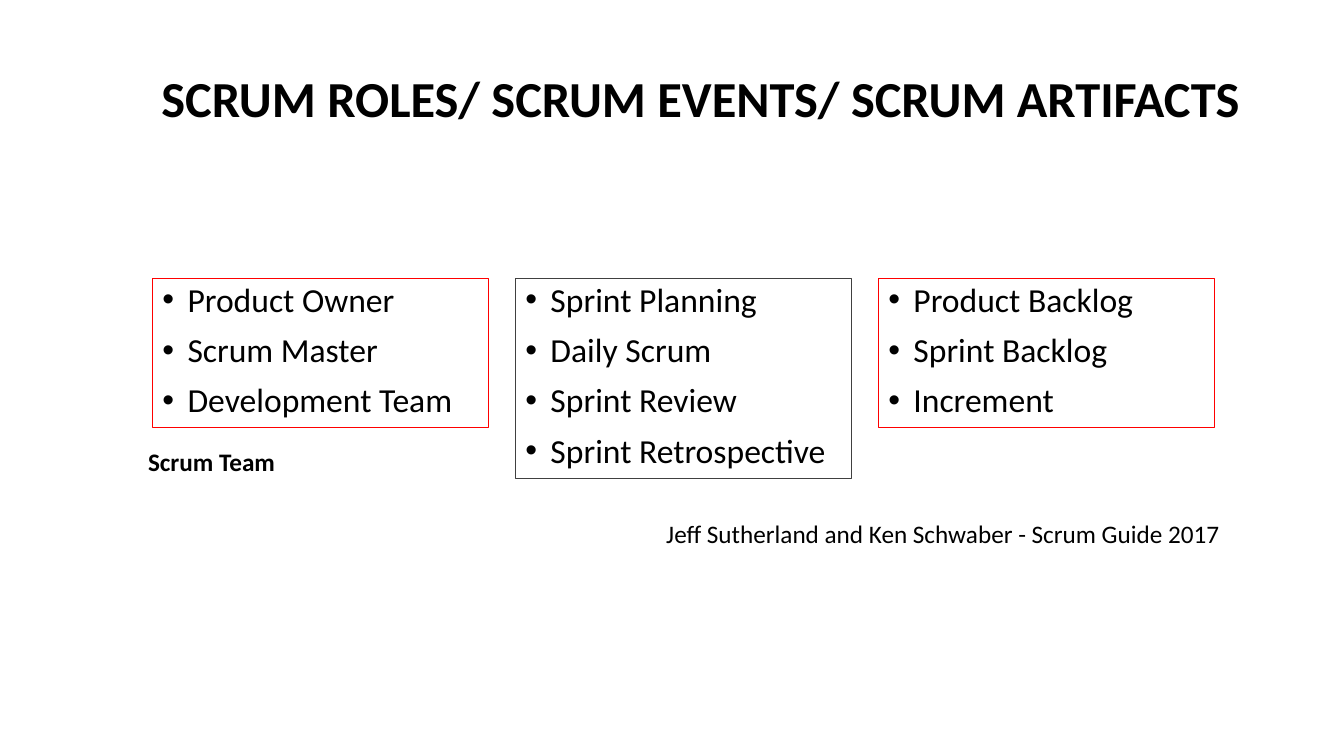
from dataclasses import dataclass

from lxml.etree import SubElement
from pptx import Presentation
from pptx.dml.color import RGBColor
from pptx.enum.text import MSO_ANCHOR as Anchor
from pptx.enum.text import MSO_AUTO_SIZE as AutoSize
from pptx.enum.text import PP_ALIGN as Align
from pptx.oxml.ns import qn
from pptx.shapes.base import BaseShape
from pptx.slide import Slide
from pptx.util import Inches, Pt

BLACK = RGBColor(0x00, 0x00, 0x00)
RED = RGBColor(0xFF, 0x00, 0x00)
GRAY = RGBColor(0x40, 0x40, 0x40)
FONT = "Calibri"

LIST_LEFT, LIST_TOP, LIST_WIDTH, LIST_STEP = 1.51, 2.76, 3.34, 3.6
FIRST_HEIGHT, ITEM_STEP = 0.46, 0.51
INDENT = Inches(0.25)


@dataclass(frozen=True)
class ScrumList:
    items: tuple[str, ...]
    outline: RGBColor


@dataclass(frozen=True)
class Label:
    text: str
    left: float
    top: float
    width: float
    bold: bool


LISTS = (
    ScrumList(("Product Owner", "Scrum Master", "Development Team"), RED),
    ScrumList(("Sprint Planning", "Daily Scrum", "Sprint Review", "Sprint Retrospective"), GRAY),
    ScrumList(("Product Backlog", "Sprint Backlog", "Increment"), RED),
)
LABELS = (
    Label("Scrum Team", 1.37, 4.38, 1.7, True),
    Label("Jeff Sutherland and Ken Schwaber - Scrum Guide 2017", 6.51, 5.09, 5.76, False),
)


def place(box: BaseShape, left: float, top: float, width: float, height: float) -> None:
    box.left, box.top = Inches(left), Inches(top)
    box.width, box.height = Inches(width), Inches(height)


def write(
    box: BaseShape, text: str, size: int, bold: bool, spacing: float, fit: AutoSize
) -> None:
    frame = box.text_frame
    frame.text = text
    frame.word_wrap = True
    frame.auto_size = fit
    frame.vertical_anchor = Anchor.TOP
    for para in frame.paragraphs:
        para.alignment = Align.LEFT
        para.line_spacing = spacing
        for span in para.runs:
            span.font.name = FONT
            span.font.size = Pt(size)
            span.font.bold = bold
            span.font.color.rgb = BLACK


def add_bullets(box: BaseShape) -> None:
    for para in box.text_frame.paragraphs:
        para.space_before = Pt(10)
        properties = para._p.get_or_add_pPr()
        properties.set("marL", str(INDENT))
        properties.set("indent", str(-INDENT))
        SubElement(properties, qn("a:buFont")).set("typeface", "Arial")
        SubElement(properties, qn("a:buChar")).set("char", "•")


def fill_list(box: BaseShape, column: int, scrum_list: ScrumList) -> None:
    height = FIRST_HEIGHT + ITEM_STEP * (len(scrum_list.items) - 1)
    place(box, LIST_LEFT + column * LIST_STEP, LIST_TOP, LIST_WIDTH, height)
    write(box, "\n".join(scrum_list.items), 24, False, 0.9, AutoSize.NONE)
    add_bullets(box)
    box.line.color.rgb = scrum_list.outline
    box.line.width = Pt(0.75)


def add_label(page: Slide, label: Label) -> None:
    box = page.shapes.add_textbox(
        Inches(label.left), Inches(label.top), Inches(label.width), Inches(0.4)
    )
    write(box, label.text, 18, label.bold, 1.0, AutoSize.SHAPE_TO_FIT_TEXT)


def main() -> None:
    deck = Presentation()
    deck.slide_width, deck.slide_height = Inches(13.33), Inches(7.5)
    page = deck.slides.add_slide(deck.slide_layouts.get_by_name("Comparison"))

    title = page.shapes.title
    place(title, 1.5, 0.68, 11.04, 0.65)
    write(
        title,
        "SCRUM ROLES/ SCRUM EVENTS/ SCRUM ARTIFACTS",
        36,
        True,
        0.9,
        AutoSize.SHAPE_TO_FIT_TEXT,
    )

    bodies = [box for box in page.placeholders if box.placeholder_format.idx > 0]
    for column, (box, scrum_list) in enumerate(zip(bodies, LISTS)):
        fill_list(box, column, scrum_list)
    for spare in bodies[len(LISTS):]:
        spare.element.getparent().remove(spare.element)

    for label in LABELS:
        add_label(page, label)

    deck.save("out.pptx")


if __name__ == "__main__":
    main()
